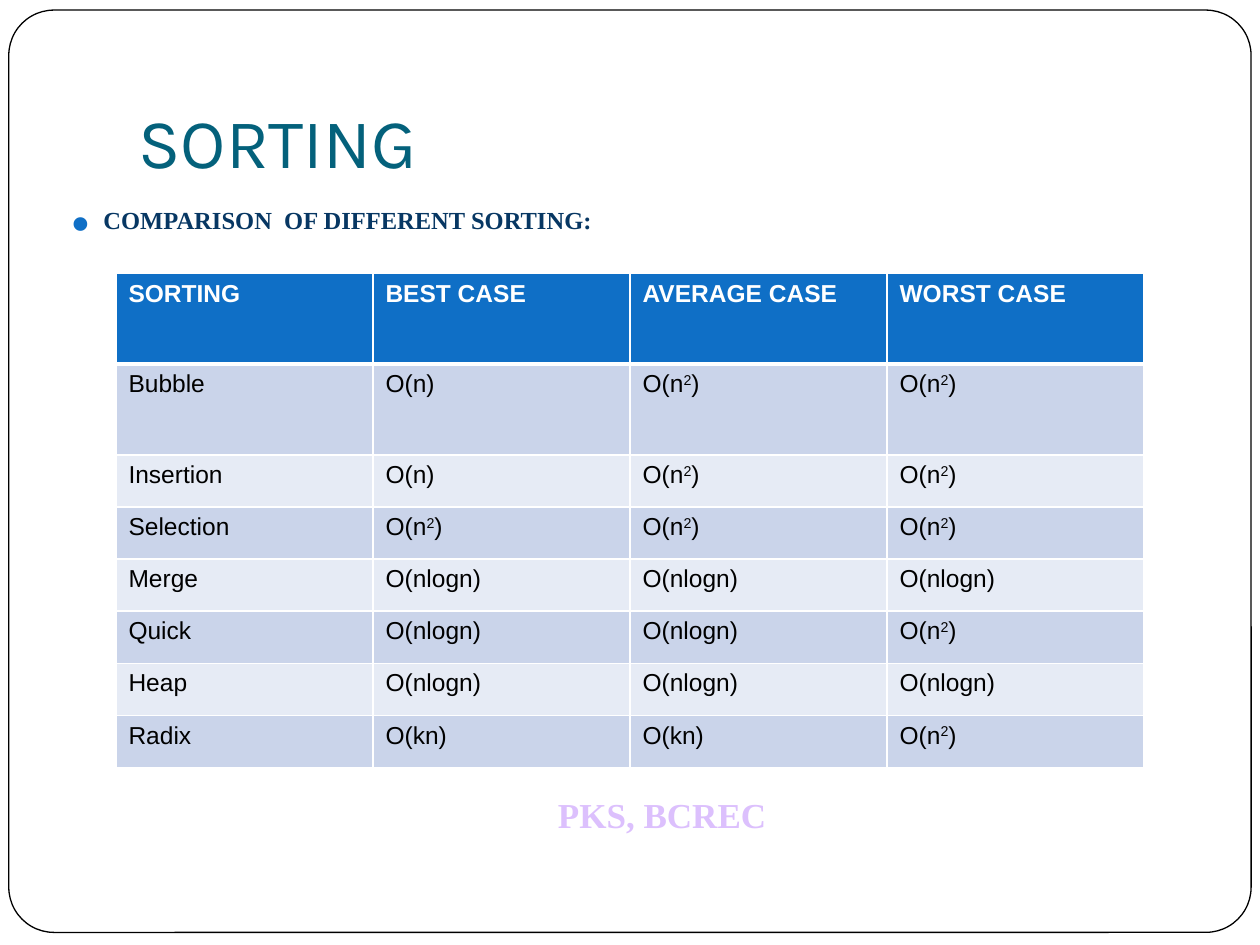
import dataclasses

import lxml.etree
import pptx
import pptx.dml.color
import pptx.enum.shapes
import pptx.enum.text
import pptx.oxml.ns
import pptx.util
from pptx.util import Inches

COLOURS = {
    "white": "FFFFFF",
    "black": "000000",
    "title": "04617B",
    "heading": "073763",
    "accent": "0F6FC6",
    "odd_row": "CAD4EA",
    "even_row": "E6EBF5",
    "footer": "DCC0FD",
}
SERIF = "Times New Roman"


@dataclasses.dataclass(frozen=True)
class TextStyle:
    font: str
    size: float
    colour: str
    bold: bool = False


@dataclasses.dataclass(frozen=True)
class Complexity:
    """Running times of one algorithm; ^2 stands for a raised 2."""
    algorithm: str
    best: str
    average: str
    worst: str


TITLE_STYLE = TextStyle("Karla", 40, "title")
HEADING_STYLE = TextStyle(SERIF, 14, "heading", True)
FOOTER_STYLE = TextStyle(SERIF, 20, "footer", True)
HEADER_STYLE = TextStyle("Arial", 14, "white", True)
CELL_STYLE = TextStyle("Arial", 14, "black")

COMPLEXITIES = [
    Complexity("SORTING", "BEST CASE", "AVERAGE CASE", "WORST CASE"),
    Complexity("Bubble", "O(n)", "O(n^2)", "O(n^2)"),
    Complexity("Insertion", "O(n)", "O(n^2)", "O(n^2)"),
    Complexity("Selection", "O(n^2)", "O(n^2)", "O(n^2)"),
    Complexity("Merge", "O(nlogn)", "O(nlogn)", "O(nlogn)"),
    Complexity("Quick", "O(nlogn)", "O(nlogn)", "O(n^2)"),
    Complexity("Heap", "O(nlogn)", "O(nlogn)", "O(nlogn)"),
    Complexity("Radix", "O(kn)", "O(kn)", "O(n^2)"),
]
COLUMN_WIDTH = 2.04
TALL_ROW, ROW = 0.72, 0.414


def rgb(name: str) -> pptx.dml.color.RGBColor:
    return pptx.dml.color.RGBColor.from_string(COLOURS[name])


def add_element(parent, tag: str, **attributes: str):
    element = lxml.etree.SubElement(parent, pptx.oxml.ns.qn(tag))
    for key, value in attributes.items():
        element.set(key, value)
    return element


def style_run(run, style: TextStyle) -> None:
    run.font.name = style.font
    run.font.size = pptx.util.Pt(style.size)
    run.font.bold = style.bold
    run.font.color.rgb = rgb(style.colour)


def place(shape, left: float, top: float, width: float, height: float) -> None:
    shape.left, shape.top = Inches(left), Inches(top)
    shape.width, shape.height = Inches(width), Inches(height)


def write_line(shape, text: str, style: TextStyle):
    """Fill the shape with one left-aligned line and return its paragraph."""
    frame = shape.text_frame
    frame.text = text
    frame.word_wrap = True
    frame.auto_size = pptx.enum.text.MSO_AUTO_SIZE.NONE
    paragraph = frame.paragraphs[0]
    paragraph.alignment = pptx.enum.text.PP_ALIGN.LEFT
    paragraph.space_before = pptx.util.Pt(0)
    style_run(paragraph.runs[0], style)
    return paragraph


def add_bullet(paragraph) -> None:
    properties = paragraph._p.get_or_add_pPr()
    properties.set("marL", str(Inches(0.3)))
    properties.set("indent", str(Inches(-0.24)))
    colour = add_element(properties, "a:buClr")
    add_element(colour, "a:srgbClr", val=COLOURS["accent"])
    add_element(properties, "a:buFont", typeface="Noto Sans Symbols")
    add_element(properties, "a:buChar", char="⚫")


def add_frame(slide) -> None:
    """Draw the rounded page border behind everything else."""
    frame = slide.shapes.add_shape(
        pptx.enum.shapes.MSO_SHAPE.ROUNDED_RECTANGLE,
        Inches(0.07), Inches(0.08), Inches(9.86), Inches(7.32))
    frame.adjustments[0] = 0.049
    frame.shadow.inherit = False
    frame.fill.solid()
    frame.fill.fore_color.rgb = rgb("white")
    frame.line.color.rgb = rgb("black")
    frame.line.width = pptx.util.Pt(0.75)
    slide.shapes._spTree.insert(2, frame._element)


def add_borders(cell, top: float, bottom: float) -> None:
    properties = cell._tc.get_or_add_tcPr()
    for side, width in zip("LRTB", (1, 1, top, bottom)):
        border = add_element(properties, f"a:ln{side}", w=str(pptx.util.Pt(width)))
        fill = add_element(border, "a:solidFill")
        add_element(fill, "a:srgbClr", val=COLOURS["white"])


def write_cell(cell, text: str, style: TextStyle) -> None:
    paragraph = cell.text_frame.paragraphs[0]
    before, power, after = text.partition("^2")
    for part in filter(None, (before, power.lstrip("^"), after)):
        run = paragraph.add_run()
        run.text = part
        style_run(run, style)
        if power and part == "2":
            run.font._element.set("baseline", "30000")


def add_complexity_table(slide) -> None:
    heights = [TALL_ROW] * 2 + [ROW] * (len(COMPLEXITIES) - 2)
    columns = len(dataclasses.fields(Complexity))
    table = slide.shapes.add_table(
        len(COMPLEXITIES), columns, Inches(0.92), Inches(2.17),
        Inches(COLUMN_WIDTH * columns), Inches(sum(heights))).table
    for column in table.columns:
        column.width = Inches(COLUMN_WIDTH)
    for index, (complexity, height) in enumerate(zip(COMPLEXITIES, heights)):
        table.rows[index].height = Inches(height)
        if index == 0:
            fill = "accent"
        else:
            fill = "odd_row" if index % 2 else "even_row"
        style = CELL_STYLE if index else HEADER_STYLE
        for cell, text in zip(table.rows[index].cells,
                              dataclasses.astuple(complexity)):
            add_borders(cell, top=3 if index == 1 else 1,
                        bottom=1 if index else 3)
            cell.fill.solid()
            cell.fill.fore_color.rgb = rgb(fill)
            write_cell(cell, text, style)


def main() -> None:
    presentation = pptx.Presentation()
    presentation.slide_width, presentation.slide_height = Inches(10), Inches(7.5)
    slide = presentation.slides.add_slide(presentation.slide_layouts[1])
    add_frame(slide)

    title, body = slide.placeholders
    place(title, 1, 0.3, 8.5, 1.25)
    write_line(title, "SORTING", TITLE_STYLE)
    title.text_frame.vertical_anchor = pptx.enum.text.MSO_ANCHOR.BOTTOM
    title.text_frame.margin_bottom = Inches(0.1)

    place(body, 0.42, 1.58, 9.33, 5.5)
    add_bullet(write_line(body, "COMPARISON  OF DIFFERENT SORTING:", HEADING_STYLE))

    footer = slide.shapes.add_textbox(
        Inches(4.33), Inches(6.25), Inches(2.1), Inches(0.44))
    write_line(footer, "PKS, BCREC", FOOTER_STYLE)

    add_complexity_table(slide)
    presentation.save("out.pptx")


if __name__ == "__main__":
    main()
